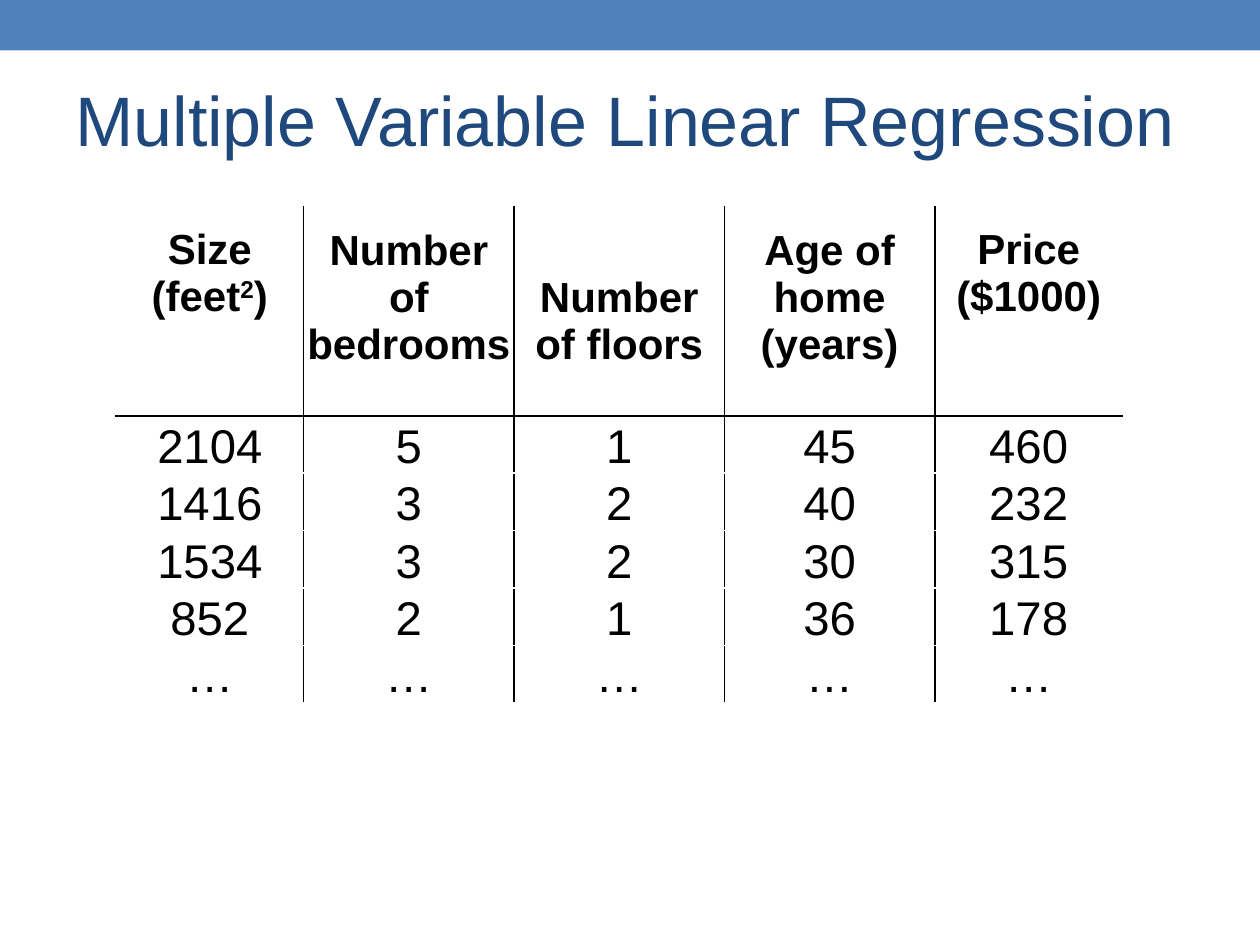
import pptx
import pptx.util
import pptx.dml.color
import pptx.enum.shapes
import pptx.enum.text
import lxml.etree

COLORS = {"band": "4F81BD", "title": "1F497D", "ink": "000000", "paper": "FFFFFF"}
FONT = "Arial"
DRAWING = "{http://schemas.openxmlformats.org/drawingml/2006/main}"
COLUMN_WIDTHS = [1.49, 1.67, 1.67, 1.67, 1.49]
ROW_HEIGHTS = [1.66] + [2.28 / 5] * 5
HEADER_LINE = 0.38
HEADERS = [
    (["Size (feet", "2", ")"], 2),
    (["Number of bedrooms"], 1),
    (["Number of floors"], 1),
    (["Age of home (years)"], 1),
    (["Price ($1000)"], 2),
]
HOMES = [
    ["2104", "5", "1", "45", "460"],
    ["1416", "3", "2", "40", "232"],
    ["1534", "3", "2", "30", "315"],
    ["852", "2", "1", "36", "178"],
    ["…"] * 5,
]


def rgb(name):
    return pptx.dml.color.RGBColor.from_string(COLORS[name])


def add_run(paragraph, text, size, color, bold=False):
    run = paragraph.add_run()
    run.text = text
    run.font.name = FONT
    run.font.size = pptx.util.Pt(size)
    run.font.bold = bold
    run.font.color.rgb = rgb(color)
    return run


def set_borders(cell, sides):
    properties = cell._tc.get_or_add_tcPr()
    for index, (side, color) in enumerate(sides.items()):
        border = lxml.etree.Element(DRAWING + "ln" + side, w=str(pptx.util.Pt(1)))
        fill = lxml.etree.SubElement(border, DRAWING + "solidFill")
        lxml.etree.SubElement(fill, DRAWING + "srgbClr", val=COLORS[color])
        properties.insert(index, border)


def fill_cell(cell, texts, size, bold, bottom):
    cell.fill.solid()
    cell.fill.fore_color.rgb = rgb("paper")
    cell.vertical_anchor = pptx.enum.text.MSO_ANCHOR.BOTTOM
    cell.margin_left = cell.margin_right = cell.margin_top = pptx.util.Inches(0.01)
    cell.margin_bottom = pptx.util.Inches(bottom)
    paragraph = cell.text_frame.paragraphs[0]
    paragraph.alignment = pptx.enum.text.PP_ALIGN.CENTER
    for index, text in enumerate(texts):
        run = add_run(paragraph, text, size, "ink", bold)
        if index == 1:
            run.font._element.set("baseline", "30000")


def add_band(slide, left, top, width, height):
    band = slide.shapes.add_shape(
        pptx.enum.shapes.MSO_SHAPE.RECTANGLE, left, top, width, height)
    band.shadow.inherit = False
    band.fill.solid()
    band.fill.fore_color.rgb = rgb("band")
    band.line.fill.background()


def add_title(slide, left, top, width, height):
    frame = slide.shapes.add_textbox(left, top, width, height).text_frame
    frame.word_wrap = True
    frame.margin_top = pptx.util.Inches(0.12)
    add_run(frame.paragraphs[0], "Multiple Variable Linear Regression", 40, "title")


def add_homes_table(slide, left, top, width, height):
    table = slide.shapes.add_table(
        len(ROW_HEIGHTS), len(COLUMN_WIDTHS), left, top, width, height).table
    table.first_row = table.horz_banding = False
    for column, share in zip(table.columns, COLUMN_WIDTHS):
        column.width = int(width * share / sum(COLUMN_WIDTHS))
    for row, share in zip(table.rows, ROW_HEIGHTS):
        row.height = int(height * share / sum(ROW_HEIGHTS))
    for index, (texts, empty_lines) in enumerate(HEADERS):
        fill_cell(table.cell(0, index), texts, 24, True, empty_lines * HEADER_LINE)
    for row, home in enumerate(HOMES, 1):
        for index, value in enumerate(home):
            fill_cell(table.cell(row, index), [value], 27, False, 0)
    last = len(COLUMN_WIDTHS) - 1
    for row in range(len(ROW_HEIGHTS)):
        for index in range(len(COLUMN_WIDTHS)):
            set_borders(table.cell(row, index), {
                "L": "ink" if index > 0 else "paper",
                "R": "ink" if index < last else "paper",
                "T": "ink" if row == 1 else "paper",
                "B": "ink" if row == 0 else "paper",
            })


def main():
    deck = pptx.Presentation()
    deck.slide_width = pptx.util.Inches(10)
    deck.slide_height = pptx.util.Inches(7.5)
    slide = deck.slides.add_slide(deck.slide_layouts[6])

    def box(*inches):
        return [pptx.util.Inches(length) for length in inches]

    add_band(slide, 0, 0, deck.slide_width, pptx.util.Inches(0.4))
    add_homes_table(slide, *box(0.92, 1.64, sum(COLUMN_WIDTHS), sum(ROW_HEIGHTS)))
    add_title(slide, *box(0.5, 0.49, 9, 1.08))
    deck.save("out.pptx")


if __name__ == "__main__":
    main()
